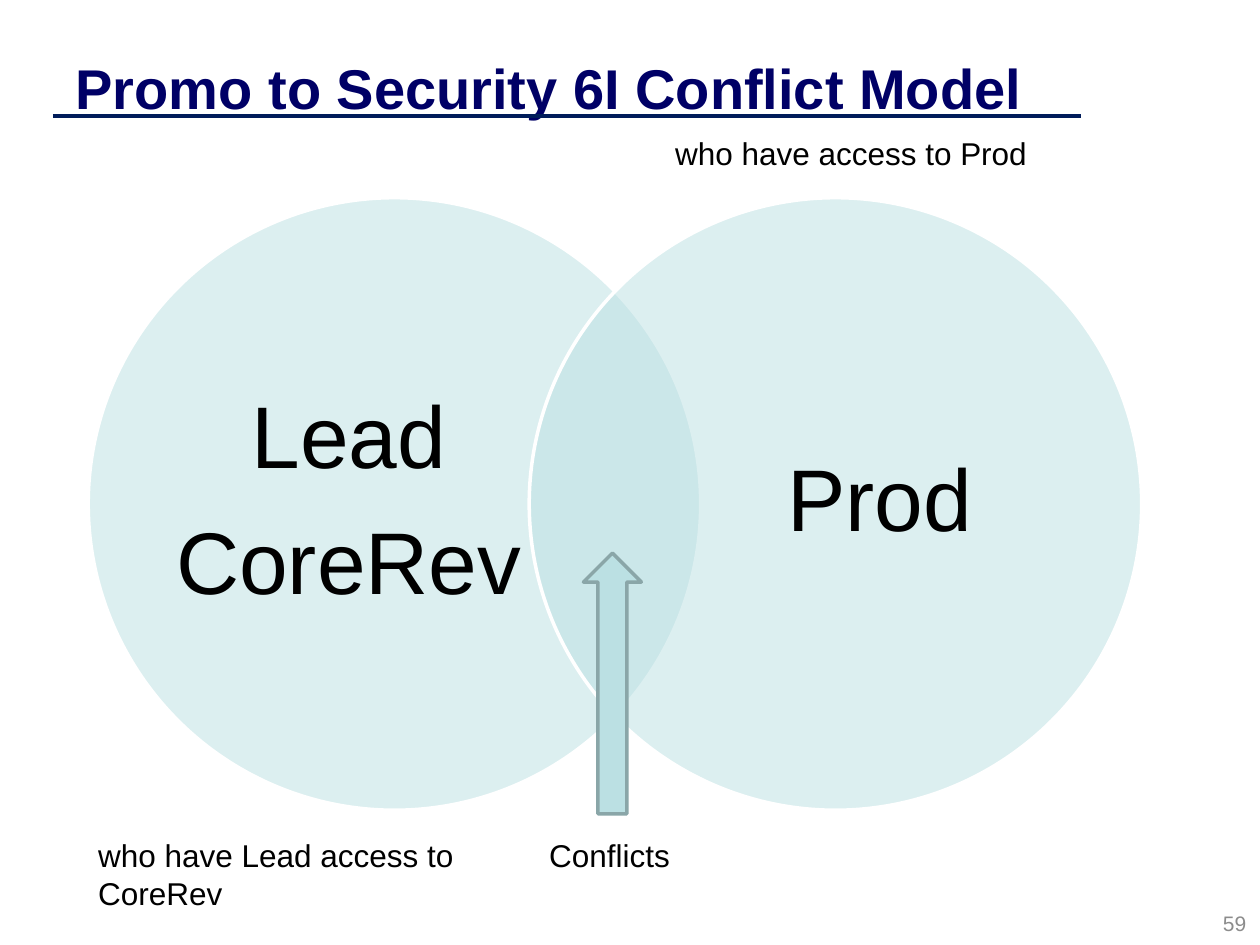
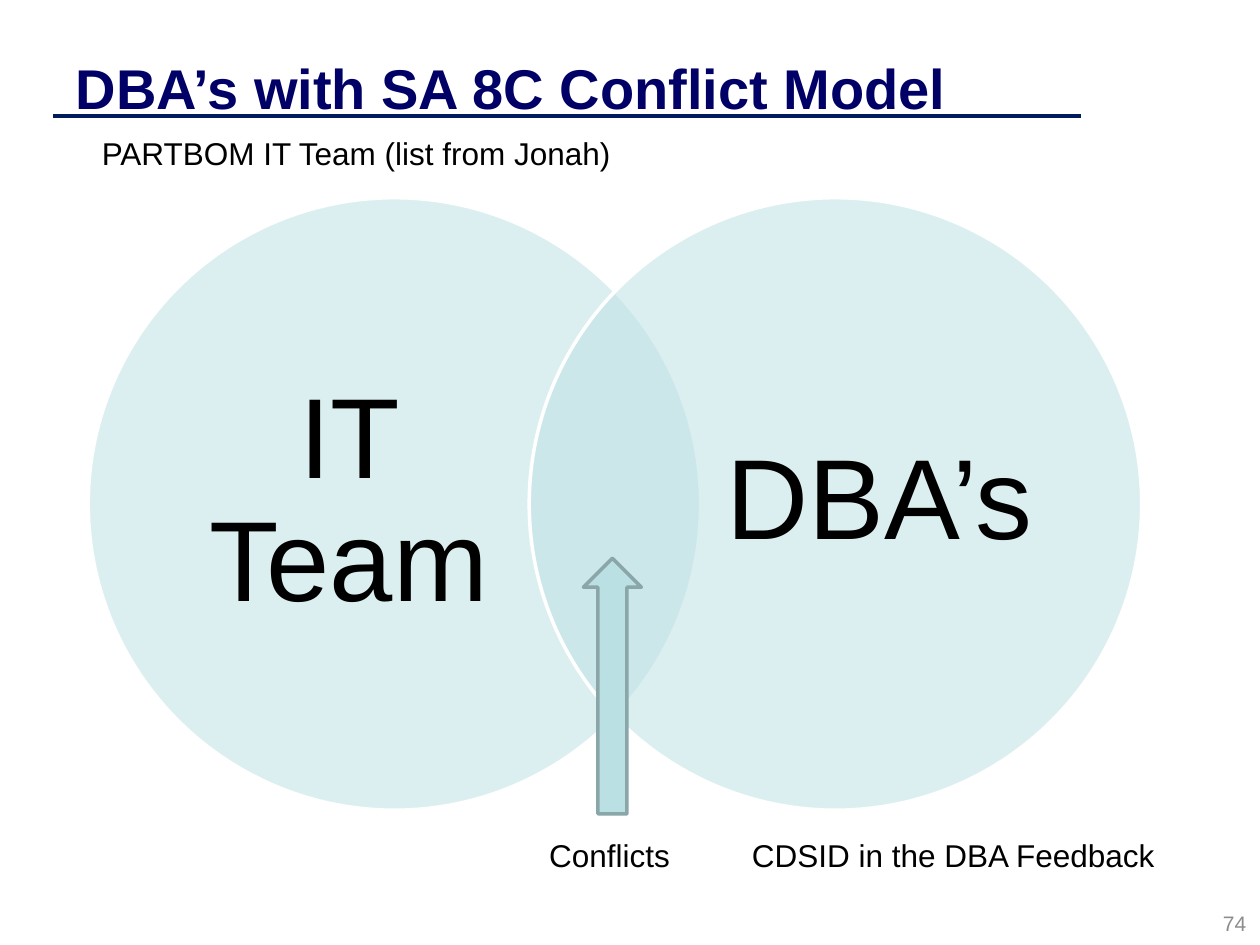
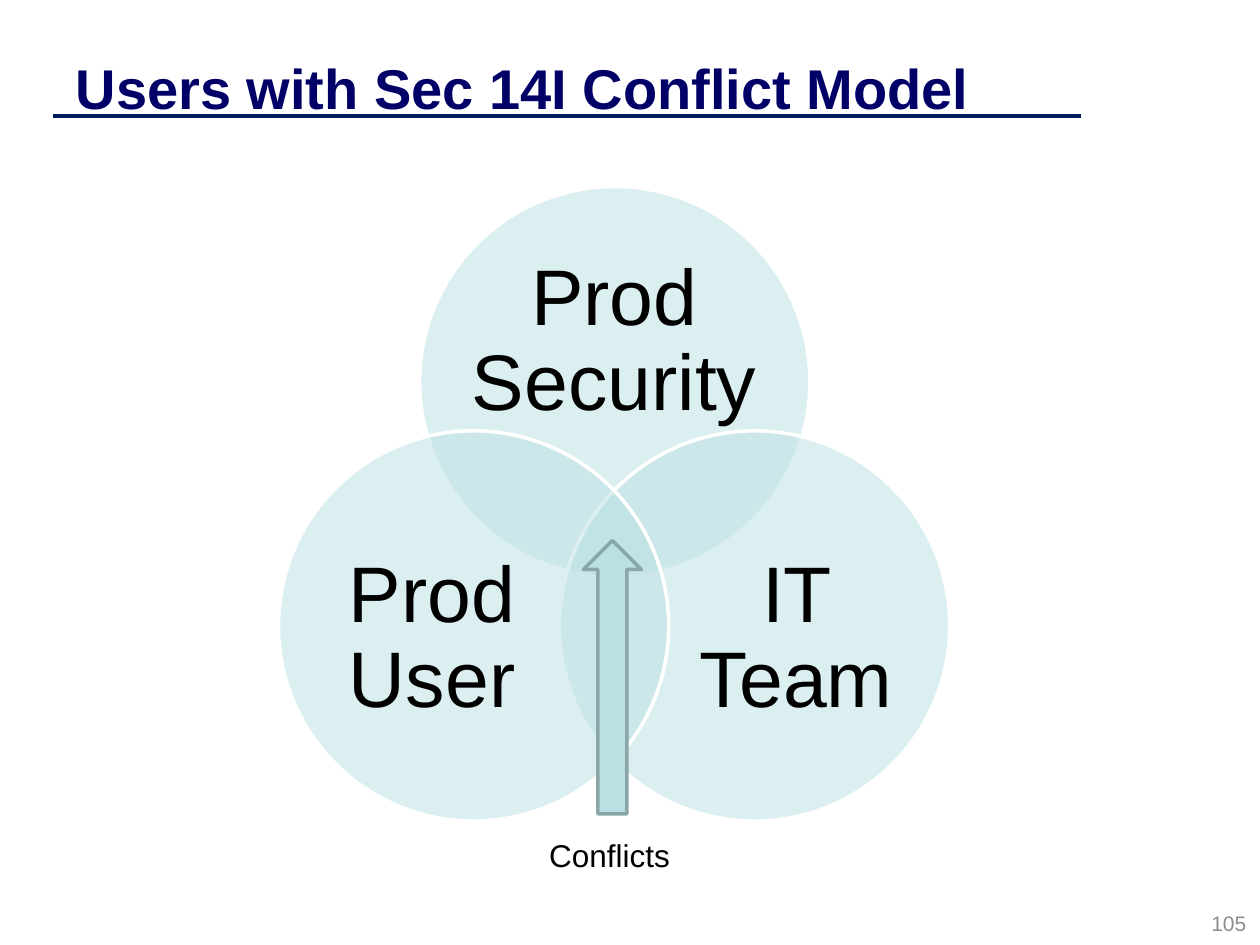
from lxml import etree
from pptx import Presentation
from pptx.dml.color import RGBColor
from pptx.enum.shapes import MSO_CONNECTOR, MSO_SHAPE
from pptx.enum.text import MSO_ANCHOR, MSO_AUTO_SIZE, PP_ALIGN
from pptx.oxml.ns import qn
from pptx.util import Pt

LEFT, CENTER, RIGHT = PP_ALIGN.LEFT, PP_ALIGN.CENTER, PP_ALIGN.RIGHT
TOP, MIDDLE = MSO_ANCHOR.TOP, MSO_ANCHOR.MIDDLE
NO_AUTOFIT = MSO_AUTO_SIZE.NONE
STRAIGHT = MSO_CONNECTOR.STRAIGHT
OVAL, UP_ARROW = MSO_SHAPE.OVAL, MSO_SHAPE.UP_ARROW

NAVY = RGBColor(0x00, 0x00, 0x66)
RULE_BLUE = RGBColor(0x00, 0x1C, 0x5A)
AQUA = RGBColor(0xBB, 0xE0, 0xE3)
ARROW_EDGE = RGBColor(0x8A, 0xA6, 0xA8)
WHITE = RGBColor(0xFF, 0xFF, 0xFF)
BLACK = RGBColor(0x00, 0x00, 0x00)
GREY = RGBColor(0x8C, 0x8C, 0x8C)

FONT = "Arial"
TITLE_ONLY = 5
CAPTION_ABOVE, CAPTION_BELOW = 73.2, 474.3
ARROW_BOTTOM = 465.1

# Each circle is (left, top, diameter); each label area is (left, top, width, height).
PAIR_CIRCLES = [(50.4, 113, 350), (302.4, 113, 350)]
PAIR_LABELS = [(98.6, 154, 201.6, 267), (401.8, 154, 201.6, 267)]
TRIO_CIRCLES = [(239.8, 106.6, 223), (319.7, 246.2, 223), (159.1, 246.2, 223)]
TRIO_LABELS = [(269.3, 145.4, 163.4, 100.8), (388.1, 303.8, 133.9, 123.1),
               (180, 303.8, 133.9, 123.1)]


def points(*lengths):
    return [Pt(length) for length in lengths]


def write(box, *lines, size=18, color=BLACK, bold=False, align=LEFT, anchor=TOP,
          spacing=1.0, after=0, inset=None):
    """Fill a box with one paragraph per line, all in the same format."""
    frame = box.text_frame
    frame.word_wrap = True
    frame.auto_size = NO_AUTOFIT
    frame.vertical_anchor = anchor
    if inset is not None:
        frame.margin_left = frame.margin_right = Pt(inset)
        frame.margin_top = frame.margin_bottom = Pt(inset)
    for index, line in enumerate(lines):
        para = frame.paragraphs[0] if index == 0 else frame.add_paragraph()
        para.alignment = align
        para.line_spacing = spacing
        para.space_after = Pt(after)
        span = para.add_run()
        span.text = line
        span.font.name = FONT
        span.font.size = Pt(size)
        span.font.bold = bold
        span.font.color.rgb = color


def add_text(page, area, *lines, **style):
    write(page.shapes.add_textbox(*points(*area)), *lines, **style)


def add_filled(page, kind, area, edge):
    shape = page.shapes.add_shape(kind, *points(*area))
    shape.shadow.inherit = False
    shape.fill.solid()
    shape.fill.fore_color.rgb = AQUA
    shape.line.color.rgb = edge
    shape.line.width = Pt(2)
    return shape


def add_circle(page, left, top, diameter):
    circle = add_filled(page, OVAL, (left, top, diameter, diameter), WHITE)
    color = circle._element.spPr.find(qn("a:solidFill")).find(qn("a:srgbClr"))
    etree.SubElement(color, qn("a:alpha"), val="50000")


def add_venn(page, circles, areas, labels, size):
    for circle, area, lines in zip(circles, areas, labels):
        add_circle(page, *circle)
        add_text(page, area, *lines, size=size, align=CENTER, anchor=MIDDLE,
                 spacing=0.9, after=0.35 * size, inset=0)


def add_conflict_arrow(page, top):
    add_filled(page, UP_ARROW, (333.4, top, 33.1, ARROW_BOTTOM - top), ARROW_EDGE)
    add_caption(page, 306.7, CAPTION_BELOW, 85, "Conflicts")


def add_caption(page, left, top, width, text, height=29):
    add_text(page, (left, top, width, height), text)


def add_page(deck, title, number):
    """Add a slide with the shared rule, title and page number."""
    page = deck.slides.add_slide(deck.slide_layouts[TITLE_ONLY])
    rule = page.shapes.add_connector(STRAIGHT, *points(30.2, 66.2, 617.8, 66.2))
    rule.line.color.rgb = RULE_BLUE
    rule.line.width = Pt(2)
    etree.SubElement(rule._element.spPr, qn("a:effectLst"))
    heading = page.shapes.title
    heading.left, heading.top, heading.width, heading.height = points(36, 21.6, 576, 56.2)
    write(heading, title, size=32, color=NAVY, bold=True, anchor=MIDDLE)
    add_text(page, (551.5, 515.5, 167.8, 24.5), str(number), size=12, color=GREY,
             align=RIGHT, anchor=MIDDLE)
    return page


def main():
    deck = Presentation()
    deck.slide_width, deck.slide_height = points(720, 540)

    page = add_page(deck, "Promo to Security 6I Conflict Model", 59)
    add_venn(page, PAIR_CIRCLES, PAIR_LABELS, [("Lead", "CoreRev"), ("Prod",)], 50)
    add_conflict_arrow(page, 316.1)
    add_caption(page, 49, CAPTION_BELOW, 257.8, "who have Lead access to CoreRev", height=51)
    add_caption(page, 378.7, CAPTION_ABOVE, 277, "who have access to Prod")

    page = add_page(deck, "DBA’s with SA 8C Conflict Model", 74)
    add_venn(page, PAIR_CIRCLES, PAIR_LABELS, [("IT Team",), ("DBA’s",)], 65)
    add_conflict_arrow(page, 319)
    add_caption(page, 422.6, CAPTION_BELOW, 258.5, "CDSID in the DBA Feedback")
    add_caption(page, 51.1, CAPTION_ABOVE, 314.6, "PARTBOM IT Team (list from Jonah)")

    page = add_page(deck, "Users with Sec 14I Conflict Model", 105)
    add_venn(page, TRIO_CIRCLES, TRIO_LABELS,
             [("Prod Security",), ("IT Team",), ("Prod User",)], 45)
    add_conflict_arrow(page, 308.9)

    deck.save("out.pptx")


if __name__ == "__main__":
    main()
